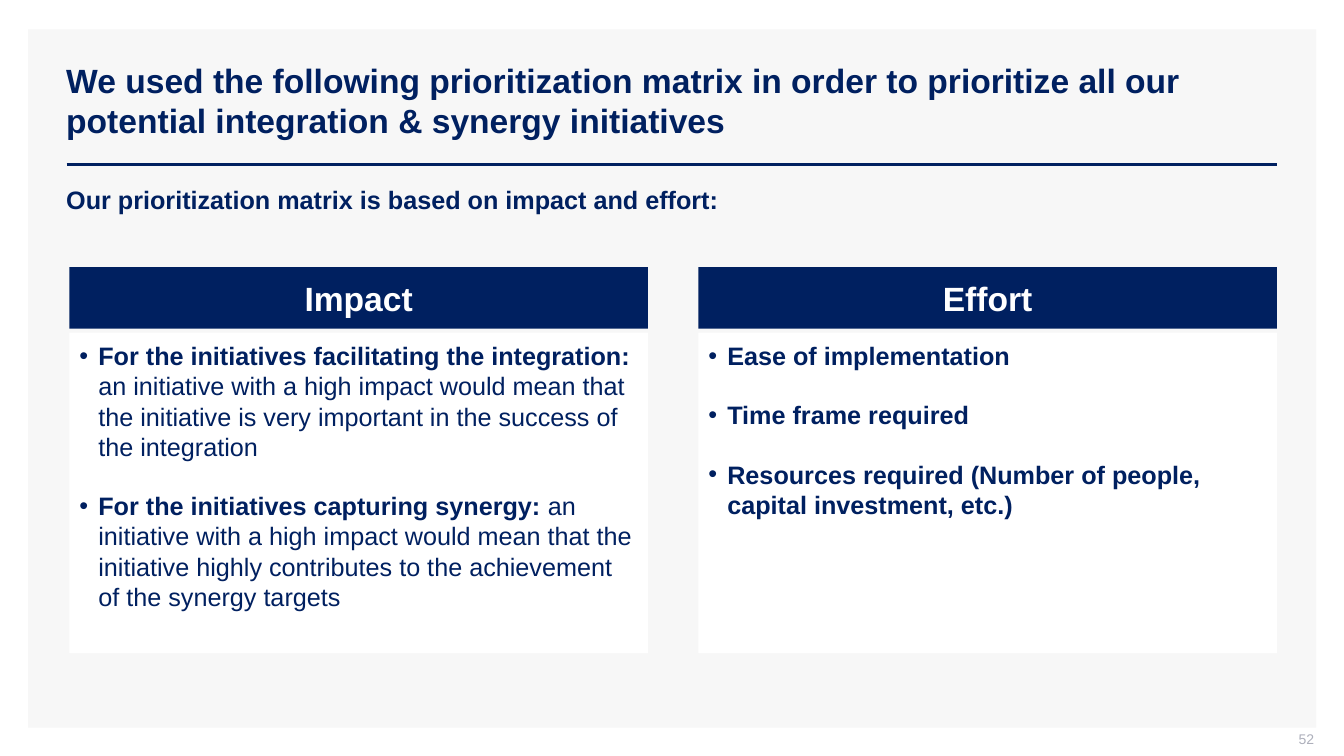
from dataclasses import dataclass

from lxml import etree
from pptx import Presentation
from pptx.dml.color import RGBColor
from pptx.enum import shapes, text
from pptx.oxml import ns
from pptx.util import Cm, Pt

COLORS = {"navy": "002060", "white": "FFFFFF", "backdrop": "F7F7F7", "grey": "ADAFBB"}
COLUMN_WIDTH = 14.58
COLUMN_LEFT = 1.75
COLUMN_STEP = 15.85
BULLET_INDENT = 0.48
BULLET_GAP = 20.7


@dataclass(frozen=True)
class Box:
    left: float
    top: float
    width: float
    height: float

    def lengths(self) -> tuple:
        return Cm(self.left), Cm(self.top), Cm(self.width), Cm(self.height)


@dataclass(frozen=True)
class Bullet:
    lead: str
    detail: str = ""


@dataclass(frozen=True)
class Criterion:
    heading: str
    bullets: tuple


CRITERIA = (
    Criterion("Impact", (
        Bullet("For the initiatives facilitating the integration: ",
               "an initiative with a high impact would mean that the initiative "
               "is very important in the success of the integration"),
        Bullet("For the initiatives capturing synergy: ",
               "an initiative with a high impact would mean that the initiative "
               "highly contributes to the achievement of the synergy targets"),
    )),
    Criterion("Effort", (
        Bullet("Ease of implementation"),
        Bullet("Time frame required"),
        Bullet("Resources required (Number of people, capital investment, etc.)"),
    )),
)


def rgb(color: str) -> RGBColor:
    return RGBColor.from_string(COLORS[color])


def set_format(target, values: dict) -> None:
    for name, value in values.items():
        setattr(target, name, value)


def add_run(paragraph, words: str, size: float, color: str, bold: bool) -> None:
    run = paragraph.add_run()
    run.text = words
    set_format(run.font, {"name": "Arial", "size": Pt(size), "bold": bold})
    run.font.color.rgb = rgb(color)


def add_panel(slide, box: Box, color: str):
    panel = slide.shapes.add_shape(shapes.MSO_SHAPE.RECTANGLE, *box.lengths())
    panel.shadow.inherit = False
    panel.fill.solid()
    panel.fill.fore_color.rgb = rgb(color)
    panel.line.fill.background()
    return panel


def write_line(shape, words: str, size: float, color: str = "navy", bold: bool = True,
               align=text.PP_ALIGN.LEFT, **frame_format) -> None:
    """Fill a shape with one wrapped paragraph."""
    frame = shape.text_frame
    set_format(frame, {"word_wrap": True,
                       "vertical_anchor": text.MSO_ANCHOR.MIDDLE} | frame_format)
    paragraph = frame.paragraphs[0]
    paragraph.alignment = align
    add_run(paragraph, words, size, color, bold)


def add_title_rule(slide) -> None:
    rule = slide.shapes.add_connector(shapes.MSO_CONNECTOR.STRAIGHT,
                                      Cm(1.68), Cm(4.14), Cm(32.18), Cm(4.14))
    rule.line.color.rgb = rgb("navy")
    rule.line.width = Pt(2)
    etree.SubElement(rule._element.spPr, ns.qn("a:effectLst"))


def write_bullets(panel, bullets: tuple) -> None:
    frame = panel.text_frame
    set_format(frame, {"word_wrap": True, "vertical_anchor": text.MSO_ANCHOR.TOP,
                       "margin_top": Cm(0.2), "margin_bottom": Cm(0.13)})
    for index, bullet in enumerate(bullets):
        paragraph = frame.add_paragraph() if index else frame.paragraphs[0]
        set_format(paragraph, {"alignment": text.PP_ALIGN.LEFT,
                               "space_before": Pt(BULLET_GAP if index else 0)})
        properties = paragraph._p.get_or_add_pPr()
        properties.set("marL", str(Cm(BULLET_INDENT)))
        properties.set("indent", str(-Cm(BULLET_INDENT)))
        etree.SubElement(properties, ns.qn("a:buFont"), typeface="Arial")
        etree.SubElement(properties, ns.qn("a:buChar"), char="•")
        add_run(paragraph, bullet.lead, 18, "navy", True)
        if bullet.detail:
            add_run(paragraph, bullet.detail, 18, "navy", False)


def add_criterion(slide, criterion: Criterion, left: float) -> None:
    heading = add_panel(slide, Box(left, 6.73, COLUMN_WIDTH, 1.55), "navy")
    write_line(heading, criterion.heading, 24, "white", align=text.PP_ALIGN.CENTER)
    details = add_panel(slide, Box(left, 8.38, COLUMN_WIDTH, 8.08), "white")
    write_bullets(details, criterion.bullets)


def main() -> None:
    deck = Presentation()
    set_format(deck, {"slide_width": Cm(33.87), "slide_height": Cm(19.05)})
    slide = deck.slides.add_slide(deck.slide_layouts[6])

    add_panel(slide, Box(0.71, 0.74, 32.46, 17.6), "backdrop")
    add_title_rule(slide)
    title = slide.shapes.add_textbox(*Box(1.42, 1.02, 30.76, 3.02).lengths())
    write_line(title, "We used the following prioritization matrix in order to prioritize "
               "all our potential integration & synergy initiatives", 24)
    page_number = slide.shapes.add_textbox(*Box(25.5, 18.42, 7.62, 0.53).lengths())
    write_line(page_number, "52", 10, "grey", False, text.PP_ALIGN.RIGHT,
               margin_right=0, margin_top=0, margin_bottom=Cm(0.13))
    introduction = slide.shapes.add_textbox(*Box(1.42, 4.52, 28.65, 1.02).lengths())
    write_line(introduction, "Our prioritization matrix is based on impact and effort:", 18,
               vertical_anchor=text.MSO_ANCHOR.TOP)

    for column, criterion in enumerate(CRITERIA):
        add_criterion(slide, criterion, COLUMN_LEFT + column * COLUMN_STEP)
    deck.save("out.pptx")


if __name__ == "__main__":
    main()
